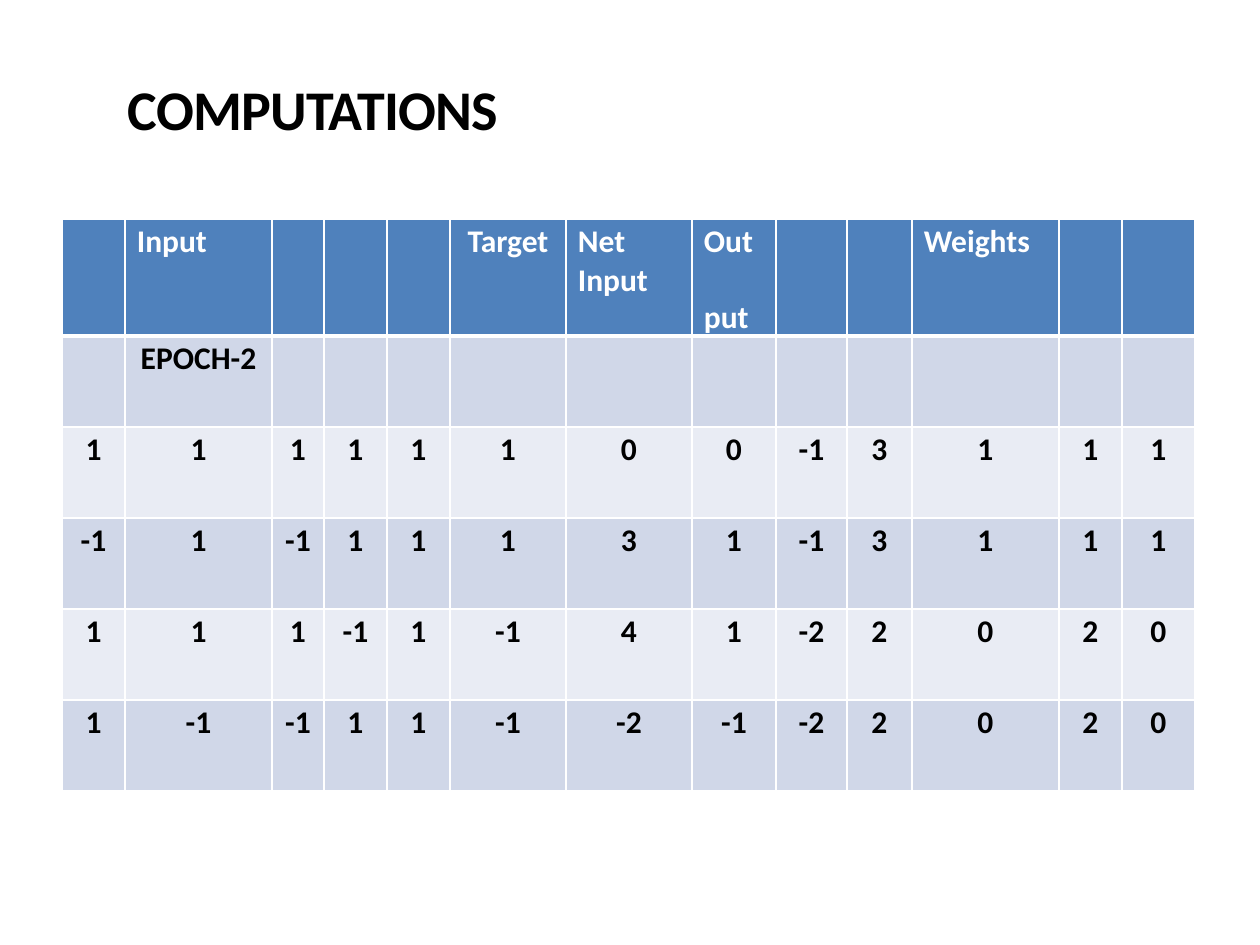
from dataclasses import dataclass
from lxml import etree
from pptx import Presentation
from pptx.dml.color import RGBColor
from pptx.enum.text import PP_ALIGN
from pptx.oxml.ns import qn
from pptx.util import Emu, Pt

LEFT, CENTER = PP_ALIGN.LEFT, PP_ALIGN.CENTER
PX_PER_INCH = 126


@dataclass(frozen=True)
class Theme:
    font: str = "Calibri"
    ink: str = "000000"
    white: str = "FFFFFF"
    header: str = "4F81BC"
    dark_band: str = "D0D7E8"
    light_band: str = "E9ECF4"
    title_size: int = 32
    cell_size: int = 18
    cell_gap: float = 2.4
    thin: int = 1
    thick: int = 3


THEME = Theme()
COLUMN_WIDTHS = [63, 147, 52, 63, 63, 116, 126, 84, 71, 65, 147, 63, 73]
ROW_HEIGHTS = [117] + [91] * 5
HEADER = ["", "Input", "", "", "", "Target", "Net Input", "Out\nput",
          "", "", "Weights", "", ""]
EPOCH = ["", "EPOCH-2"] + [""] * 11
STEPS = [
    [1, 1, 1, 1, 1, 1, 0, 0, -1, 3, 1, 1, 1],
    [-1, 1, -1, 1, 1, 1, 3, 1, -1, 3, 1, 1, 1],
    [1, 1, 1, -1, 1, -1, 4, 1, -2, 2, 0, 2, 0],
    [1, -1, -1, 1, 1, -1, -2, -1, -2, 2, 0, 2, 0],
]
ROWS = [HEADER, EPOCH] + STEPS


def px(length):
    return Emu(round(length * 914400 / PX_PER_INCH))


def set_margins(target, left=0, top=0):
    target.margin_left, target.margin_top = px(left), px(top)
    target.margin_right = target.margin_bottom = 0


def add_span(para, text, size, color, spacing=0):
    span = para.add_run()
    span.text = text
    span.font.name = THEME.font
    span.font.size = Pt(size)
    span.font.bold = True
    span.font.color.rgb = RGBColor.from_string(color)
    if spacing:
        span.font._element.set("spc", str(round(spacing * 100)))


def add_title(page, left, top, width, height):
    box = page.shapes.add_textbox(px(left), px(top), px(width), px(height))
    frame = box.text_frame
    frame.word_wrap = True
    set_margins(frame, left=2, top=1)
    para = frame.paragraphs[0]
    para.space_before = Pt(1.1)
    add_span(para, "COMPUTATIONS", THEME.title_size, THEME.ink, -0.5)


def set_borders(cell, row):
    widths = {
        "a:lnL": THEME.thin,
        "a:lnR": THEME.thin,
        "a:lnT": THEME.thick if row == 1 else THEME.thin,
        "a:lnB": THEME.thick if row == 0 else THEME.thin,
    }
    properties = cell._tc.get_or_add_tcPr()
    for position, (tag, width) in enumerate(widths.items()):
        line = etree.Element(qn(tag), w=str(Pt(width)))
        fill = etree.SubElement(line, qn("a:solidFill"))
        etree.SubElement(fill, qn("a:srgbClr"), val=THEME.white)
        properties.insert(position, line)


def fill_cell(cell, text, row):
    is_header = row == 0
    is_centered = not is_header or text == "Target"
    band = THEME.dark_band if row % 2 else THEME.light_band
    cell.fill.solid()
    cell.fill.fore_color.rgb = RGBColor.from_string(THEME.header if is_header else band)
    set_borders(cell, row)
    set_margins(cell, left=0 if is_centered else 12, top=4)
    frame = cell.text_frame
    for index, part in enumerate(text.split("\n")):
        para = frame.add_paragraph() if index else frame.paragraphs[0]
        para.alignment = CENTER if is_centered else LEFT
        para.space_before = Pt(21 if index else THEME.cell_gap)
        para.font.size = Pt(THEME.cell_size)
        if part:
            add_span(para, part, THEME.cell_size,
                     THEME.white if is_header else THEME.ink)


def add_computations(page, left, top):
    box = page.shapes.add_table(
        len(ROWS), len(COLUMN_WIDTHS), px(left), px(top),
        px(sum(COLUMN_WIDTHS)), px(sum(ROW_HEIGHTS)))
    table = box.table
    for column, width in zip(table.columns, COLUMN_WIDTHS):
        column.width = px(width)
    for row, (height, values) in enumerate(zip(ROW_HEIGHTS, ROWS)):
        table.rows[row].height = px(height)
        for column, value in enumerate(values):
            fill_cell(table.cell(row, column), str(value), row)


def main():
    deck = Presentation()
    deck.slide_width, deck.slide_height = px(1260), px(945)
    page = deck.slides.add_slide(deck.slide_layouts[6])
    add_title(page, 126, 73, 811, 71)
    add_computations(page, 62, 219)
    deck.save("out.pptx")


if __name__ == "__main__":
    main()
